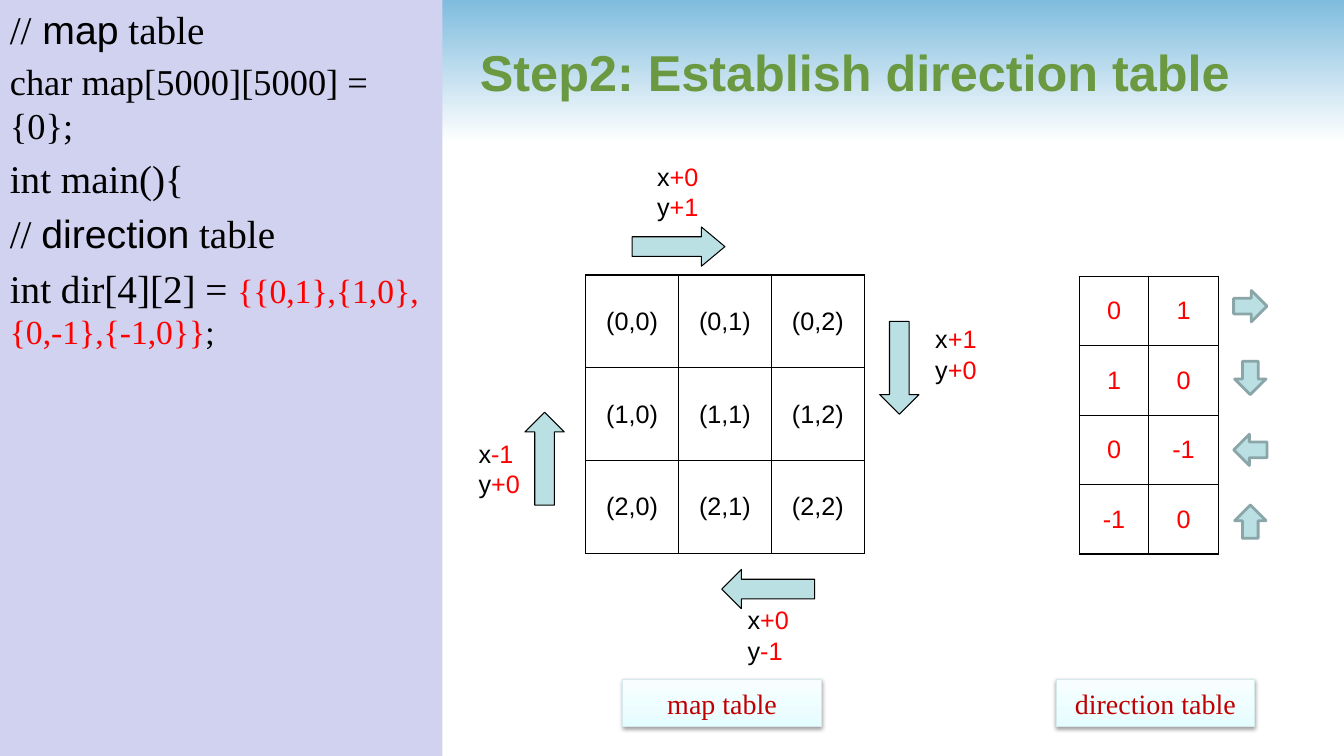
from lxml import etree
from pptx import Presentation
from pptx.dml.color import RGBColor
from pptx.enum.shapes import MSO_SHAPE
from pptx.enum.text import MSO_ANCHOR, MSO_AUTO_SIZE, PP_ALIGN
from pptx.oxml.ns import nsdecls, qn
from pptx.util import Cm, Pt

RECT, BAND = MSO_SHAPE.RECTANGLE, MSO_SHAPE.PENTAGON
RIGHT, DOWN = MSO_SHAPE.RIGHT_ARROW, MSO_SHAPE.DOWN_ARROW
LEFT, UP = MSO_SHAPE.LEFT_ARROW, MSO_SHAPE.UP_ARROW
TOP, MIDDLE = MSO_ANCHOR.TOP, MSO_ANCHOR.MIDDLE
START, CENTER = PP_ALIGN.LEFT, PP_ALIGN.CENTER
GROW = MSO_AUTO_SIZE.SHAPE_TO_FIT_TEXT

BLACK = RGBColor(0, 0, 0)
WHITE = RGBColor(0xFF, 0xFF, 0xFF)
RED = RGBColor(0xFF, 0, 0)
WINE = RGBColor(0xC0, 0, 0)
GREEN = RGBColor(0x6B, 0x99, 0x41)
SKY = RGBColor(0x80, 0xBC, 0xDE)
LILAC = RGBColor(0xD1, 0xD1, 0xF0)
TEAL = RGBColor(0xBB, 0xE0, 0xE3)
SLATE = RGBColor(0x8A, 0xA6, 0xA8)
ICE = RGBColor(0xE6, 0xFD, 0xFF)
MIST = RGBColor(0xF8, 0xFE, 0xFF)
RIM = RGBColor(0xD5, 0xE8, 0xEA)
SANS, SERIF = "Arial", "Times New Roman"

TITLE = "Step2: Establish direction table"
CODE = [
    [("//", SERIF, 28, BLACK), (" map", SANS, 28, BLACK), (" table", SERIF, 28, BLACK)],
    [("char map[5000][5000] = {0};", SERIF, 26, BLACK)],
    [("int main(){", SERIF, 28, BLACK)],
    [("// ", SERIF, 28, BLACK), ("direction", SANS, 28, BLACK), (" table", SERIF, 28, BLACK)],
    [("int dir[4][2] = ", SERIF, 28, BLACK),
     ("{{0,1},{1,0},{0,-1},{-1,0}}", SERIF, 24, RED), (";", SERIF, 24, BLACK)],
]
STEPS = [(0, 1), (1, 0), (0, -1), (-1, 0)]
GRID = [[f"({row},{col})" for col in range(3)] for row in range(3)]
MOVES = [
    (RIGHT, 15.93, 5.72, 16.31, 3.94),
    (DOWN, 22.17, 8.1, 23.32, 8.03),
    (LEFT, 18.19, 14.35, 18.59, 15.11),
    (UP, 13.23, 10.39, 11.81, 10.92),
]
LABELS = [("map table", 15.7), ("direction table", 26.62)]

deck = Presentation()
deck.slide_width, deck.slide_height = Cm(33.87), Cm(19.05)
slide = deck.slides.add_slide(deck.slide_layouts[5])
shapes = slide.shapes


def style(font, name, size, color):
    font.name, font.size = name, Pt(size)
    font.color.rgb = color


def write(par, runs):
    for text, *look in runs:
        run = par.add_run()
        run.text = text
        style(run.font, *look)


def draw(kind, x, y, w, h, fill=None, line=None, width=0.75):
    shape = shapes.add_shape(kind, Cm(x), Cm(y), Cm(w), Cm(h))
    shape.shadow.inherit = False
    if fill:
        shape.fill.solid()
        shape.fill.fore_color.rgb = fill
    if line:
        shape.line.color.rgb = line
        shape.line.width = Pt(width)
    else:
        shape.line.fill.background()
    return shape


def fade(shape, first, last, angle):
    shape.fill.gradient()
    shape.fill.gradient_angle = angle
    for stop, color, place in zip(shape.fill.gradient_stops, (first, last), (0, 1)):
        stop.color.rgb = color
        stop.position = place


def border(cell):
    props = cell._tc.get_or_add_tcPr()
    for spot, side in enumerate(("lnL", "lnR", "lnT", "lnB")):
        props.insert(spot, etree.fromstring(
            f'<a:{side} {nsdecls("a")} w="12700"><a:solidFill>'
            f'<a:srgbClr val="{BLACK}"/></a:solidFill></a:{side}>'))


def tabulate(rows, x, y, size, color):
    high, wide = len(rows), len(rows[0])
    table = shapes.add_table(
        high, wide, Cm(x), Cm(y), Cm(size * wide), Cm(size * high)).table
    table.first_row = table.horz_banding = False
    for col in table.columns:
        col.width = Cm(size)
    for row, values in zip(table.rows, rows):
        row.height = Cm(size)
        for cell, value in zip(row.cells, values):
            cell.fill.background()
            cell.vertical_anchor = MIDDLE
            border(cell)
            par = cell.text_frame.paragraphs[0]
            par.text = str(value)
            par.alignment = CENTER
            style(par.font, SANS, 18, color)


title = shapes.title
title.left, title.top, title.width, title.height = Cm(11.84), Cm(0.2), Cm(20.62), Cm(3.18)
title.text_frame.text = TITLE
title.text_frame.vertical_anchor = MIDDLE
head = title.text_frame.paragraphs[0]
head.alignment = START
head.font.bold = True
style(head.font, SANS, 36, GREEN)

band = draw(BAND, 0, 0, 33.87, 3.61)
band.adjustments[0] = 0
fade(band, SKY, WHITE, 270)
title._element.addprevious(band._element)

frame = draw(RECT, 0, 0, 11.15, 19.05, LILAC).text_frame
frame.vertical_anchor = TOP
frame.word_wrap = True
for i, runs in enumerate(CODE):
    par = frame.add_paragraph() if i else frame.paragraphs[0]
    par.alignment = START
    if i:
        par.space_before = Pt(runs[0][2] * 0.2)
    write(par, runs)

tabulate(STEPS, 27.2, 6.96, 1.75, RED)
tabulate(GRID, 14.76, 6.93, 2.34, BLACK)

for i in range(len(STEPS)):
    draw(RIGHT, 31.09, 7.32 + 1.81 * i, 0.84, 0.79, TEAL, SLATE, 2).rotation = 90 * i

for (kind, x, y, left, top), step in zip(MOVES, STEPS):
    w, h = (2.34, 0.99) if kind in (LEFT, RIGHT) else (0.99, 2.34)
    arrow = draw(kind, x, y, w, h, TEAL, BLACK)
    arrow.adjustments[1] = 0.6 if kind == RIGHT else 0.5
    frame = shapes.add_textbox(Cm(left), Cm(top), Cm(1.57), Cm(1.8)).text_frame
    frame.word_wrap = False
    frame.auto_size = GROW
    pars = frame.paragraphs[0], frame.add_paragraph()
    for par, axis, delta in zip(pars, "xy", step):
        write(par, [(axis, SANS, 18, BLACK), (f"{delta:+d}", SANS, 18, RED)])

for text, x in LABELS:
    label = draw(RECT, x, 17.12, 5, 1.19, line=RIM)
    fade(label, ICE, MIST, 90)
    label._element.spPr.find(qn("a:effectLst")).append(etree.fromstring(
        f'<a:outerShdw {nsdecls("a")} blurRad="40000" dist="20000" dir="5400000" '
        f'rotWithShape="0"><a:srgbClr val="{BLACK}"><a:alpha val="38000"/>'
        '</a:srgbClr></a:outerShdw>'))
    par = label.text_frame.paragraphs[0]
    par.text = text
    par.alignment = CENTER
    style(par.font, SERIF, 20, WINE)

deck.save("out.pptx")
